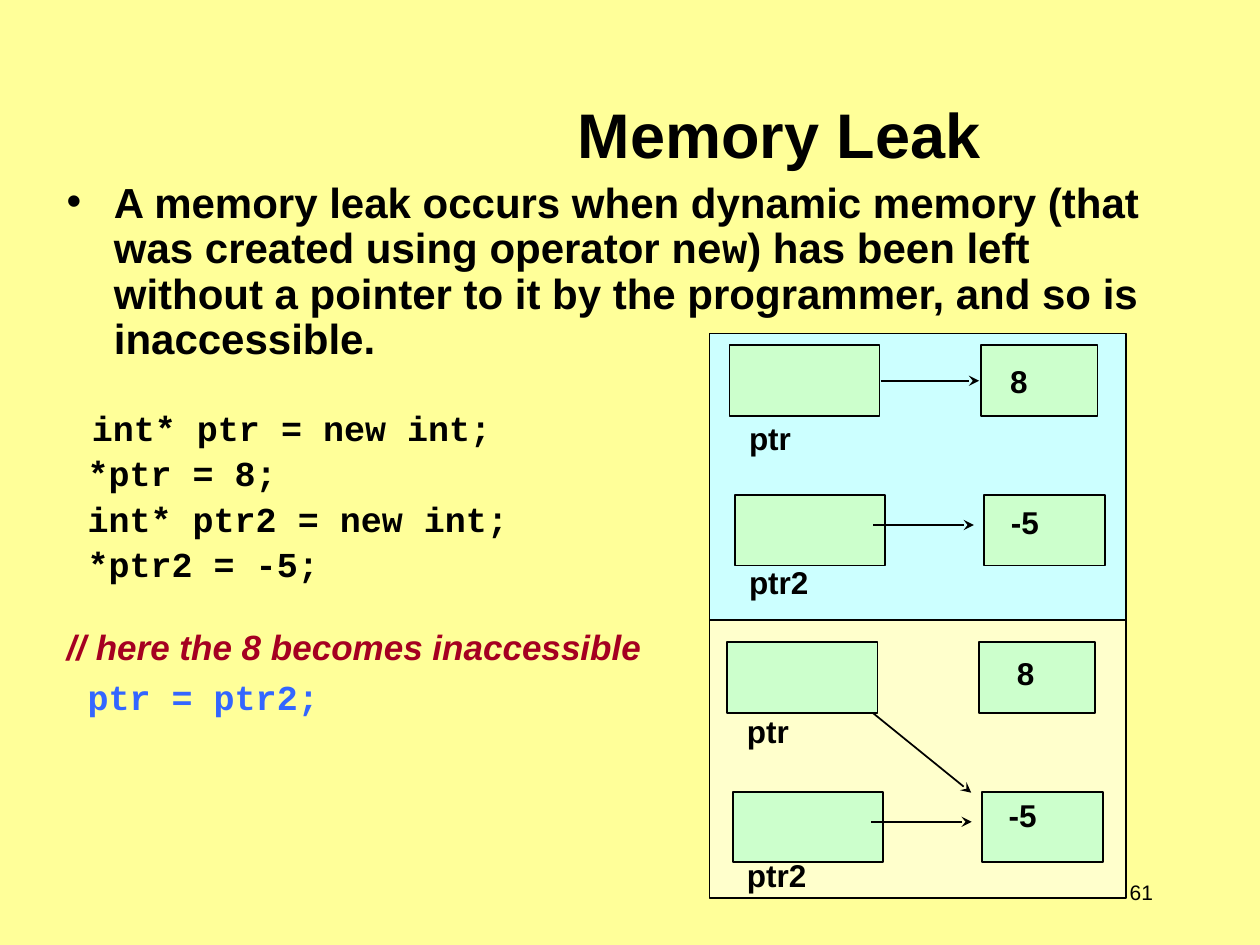
from lxml import etree
from pptx import Presentation
from pptx.dml.color import RGBColor
from pptx.enum.shapes import MSO_CONNECTOR, MSO_SHAPE
from pptx.enum.text import MSO_ANCHOR, PP_ALIGN
from pptx.oxml.ns import qn
from pptx.util import Pt

RECTANGLE = MSO_SHAPE.RECTANGLE
STRAIGHT = MSO_CONNECTOR.STRAIGHT
TOP, MIDDLE, BOTTOM = MSO_ANCHOR.TOP, MSO_ANCHOR.MIDDLE, MSO_ANCHOR.BOTTOM
LEFT, CENTER, RIGHT = PP_ALIGN.LEFT, PP_ALIGN.CENTER, PP_ALIGN.RIGHT

BLACK = RGBColor(0x00, 0x00, 0x00)
YELLOW = RGBColor(0xFF, 0xFF, 0x99)
CREAM = RGBColor(0xFF, 0xFF, 0xCC)
CYAN = RGBColor(0xCC, 0xFF, 0xFF)
GREEN = RGBColor(0xCC, 0xFF, 0xCC)
RED = RGBColor(0xA5, 0x00, 0x21)
BLUE = RGBColor(0x33, 0x66, 0xFF)

TITLE = {"name": "Arial", "size": Pt(36), "bold": True}
PROSE = {"name": "Arial", "size": Pt(24), "bold": True}
KEYWORD = {**PROSE, "name": "Courier New"}
CODE = {**KEYWORD, "size": Pt(20)}
COMMENT = {**CODE, "name": "Arial", "italic": True}
LABEL = {"name": "Arial", "size": Pt(18), "bold": True}
PAGE = {"name": "Arial", "size": Pt(12), "bold": False}

DEFINITION = [
    ("A memory leak occurs when dynamic memory (that was created using operator ", PROSE),
    ("new", KEYWORD),
    (") has been left without a pointer to it by the programmer, and so is inaccessible.", PROSE),
]
LISTING = [
    ("int* ptr = new int;", CODE, BLACK, 14.4, 22.5),
    ("*ptr = 8;", CODE, BLACK, 12, 0),
    ("int* ptr2 = new int;", CODE, BLACK, 12, 0),
    ("*ptr2 = -5;", CODE, BLACK, 12, 0),
    ("// here the 8 becomes inaccessible", COMMENT, RED, 0, 21.5),
    ("ptr = ptr2;", CODE, BLUE, 12, 2.5),
]


def set_attributes(target, values):
    for attribute, value in values.items():
        setattr(target, attribute, value)


def set_frame(frame, anchor, margins, wrap=True):
    left, top = margins
    set_attributes(frame, {
        "word_wrap": wrap, "vertical_anchor": anchor,
        "margin_left": Pt(left), "margin_right": Pt(left),
        "margin_top": Pt(top), "margin_bottom": Pt(top),
    })


def add_run(paragraph, text, style, color=BLACK):
    run = paragraph.add_run()
    run.text = text
    set_attributes(run.font, style)
    run.font.color.rgb = color


def add_text(slide, bounds, text, style, align=LEFT, anchor=TOP, margins=(0, 0)):
    box = slide.shapes.add_textbox(*map(Pt, bounds))
    set_frame(box.text_frame, anchor, margins)
    paragraph = box.text_frame.paragraphs[0]
    paragraph.alignment = align
    add_run(paragraph, text, style)


def add_box(slide, bounds, fill, value="", margins=(0, 0)):
    box = slide.shapes.add_shape(RECTANGLE, *map(Pt, bounds))
    box.shadow.inherit = False
    box.fill.solid()
    box.fill.fore_color.rgb = fill
    box.line.color.rgb = BLACK
    box.line.width = Pt(1)
    if value:
        set_frame(box.text_frame, TOP, margins)
        paragraph = box.text_frame.paragraphs[0]
        paragraph.alignment = LEFT
        add_run(paragraph, value, LABEL)


def add_arrow(slide, start, end):
    arrow = slide.shapes.add_connector(STRAIGHT, *map(Pt, start + end))
    arrow.line.color.rgb = BLACK
    arrow.line.width = Pt(1)
    etree.SubElement(arrow.line._get_or_add_ln(), qn("a:tailEnd"), type="stealth")
    etree.SubElement(arrow._element.spPr, qn("a:effectLst"))


def set_indent(paragraph, left, first=0):
    properties = paragraph._p.get_or_add_pPr()
    properties.set("marL", str(Pt(left)))
    properties.set("indent", str(Pt(first)))
    return properties


def add_title(slide):
    title = slide.shapes.title
    set_attributes(title, {"left": Pt(201.6), "top": Pt(37.5),
                           "width": Pt(487.4), "height": Pt(64)})
    set_frame(title.text_frame, BOTTOM, (7.2, 3.6))
    paragraph = title.text_frame.paragraphs[0]
    paragraph.alignment = CENTER
    add_run(paragraph, "Memory Leak", TITLE)


def add_explanation(slide):
    body = slide.shapes.add_textbox(Pt(31), Pt(100), Pt(640), Pt(289.5))
    set_frame(body.text_frame, TOP, (7.2, 3.6))
    definition = body.text_frame.paragraphs[0]
    definition.line_spacing = Pt(26)
    properties = set_indent(definition, 27, -27)
    etree.SubElement(properties, qn("a:buFont"), typeface="Arial")
    etree.SubElement(properties, qn("a:buChar"), char="•")
    for text, style in DEFINITION:
        add_run(definition, text, style)
    for text, style, color, indent, gap in LISTING:
        statement = body.text_frame.add_paragraph()
        set_attributes(statement, {"line_spacing": Pt(26), "space_before": Pt(gap)})
        set_indent(statement, indent)
        add_run(statement, text, style, color)


def add_memory_state(slide, dx, dy, eight_margins, five_margins, name_tops):
    for name, top in zip(("ptr", "ptr2"), name_tops):
        add_text(slide, (428 + dx, top, 60, 21), name, LABEL)
    for left, top in ((416.8, 197.3), (420, 282.8)):
        add_box(slide, (left + dx, top + dy, 85.8, 40.4), GREEN)
    add_box(slide, (560.8 + dx, 197.3 + dy, 66.4, 40.4), GREEN, "8", eight_margins)
    add_box(slide, (562.3 + dx, 282.8 + dy, 69.2, 40.4), GREEN, "-5", five_margins)
    add_arrow(slide, (499 + dx, 300 + dy), (556.5 + dx, 300 + dy))


def main():
    presentation = Presentation()
    set_attributes(presentation, {"slide_width": Pt(720), "slide_height": Pt(540)})
    slide = presentation.slides.add_slide(presentation.slide_layouts[5])
    slide.background.fill.solid()
    slide.background.fill.fore_color.rgb = YELLOW

    add_box(slide, (405.4, 354.2, 238.2, 159.2), CREAM)
    add_box(slide, (405.4, 190.6, 238.2, 163.6), CYAN)
    add_text(slide, (617.8, 491.8, 48.2, 36), "61", PAGE, RIGHT, MIDDLE, (7.2, 3.6))
    add_title(slide)
    add_explanation(slide)

    add_memory_state(slide, 0, 0, (16.5, 9.8), (15.3, 4.5), (239.2, 322))
    add_arrow(slide, (503.2, 217.6), (559.5, 217.6))
    add_memory_state(slide, -1.2, 169.6, (21.5, 7), (15.3, 2.4), (406.6, 489))
    add_arrow(slide, (499, 407.6), (555, 453))

    presentation.save("out.pptx")


main()
